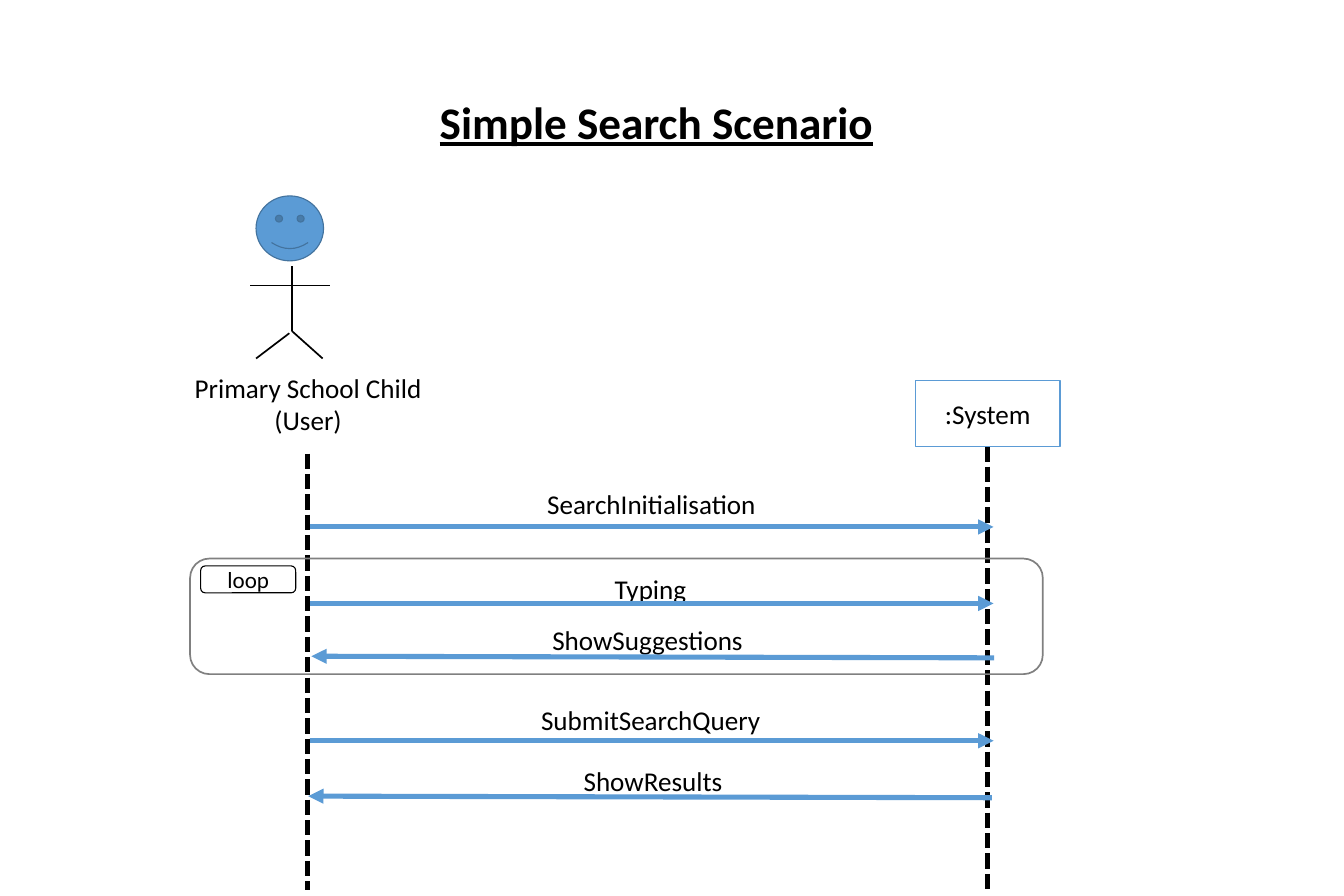
"""Build the sequence diagram of a simple search scenario."""
from pptx import Presentation
from pptx.dml.color import RGBColor
from pptx.enum.dml import MSO_LINE
from pptx.enum.shapes import MSO_CONNECTOR, MSO_SHAPE as Kind
from pptx.enum.text import MSO_ANCHOR as Anchor, PP_ALIGN
from pptx.oxml.ns import qn
from pptx.util import Cm, Pt
from lxml.etree import SubElement

BLACK = RGBColor(0, 0, 0)
WHITE = RGBColor(0xFF, 0xFF, 0xFF)
GREY = RGBColor(0x80, 0x80, 0x80)
BLUE = RGBColor(0x5B, 0x9B, 0xD5)
NAVY = RGBColor(0x43, 0x73, 0x9E)

deck = Presentation()
deck.slide_width, deck.slide_height = Cm(41.99), Cm(27.99)
slide = deck.slides.add_slide(deck.slide_layouts[6])
shapes = slide.shapes


def write(shape, text, size, anchor=Anchor.MIDDLE):
    """Put centred text in a shape and return its run font."""
    frame = shape.text_frame
    frame.text = text
    frame.word_wrap = True
    frame.vertical_anchor = anchor
    para = frame.paragraphs[0]
    para.alignment = PP_ALIGN.CENTER
    font = para.runs[0].font
    font.name, font.size = "Calibri", Pt(size)
    font.color.rgb = BLACK
    return font


def link(start, end, color, width):
    """Draw a straight line without a shadow and return its format."""
    line = shapes.add_connector(MSO_CONNECTOR.STRAIGHT, *map(Cm, start + end))
    line.line.color.rgb = color
    line.line.width = Pt(width)
    SubElement(line._element.spPr, qn("a:effectLst"))
    return line.line


title = shapes.add_textbox(Cm(1.52), Cm(2.46), Cm(37.97), Cm(2.87))
font = write(title, "Simple Search Scenario", 40)
font.bold = font.underline = True
title.text_frame.paragraphs[0].line_spacing = 0.9

for x, top in ((9.6, 14.17), (30.86, 13.94)):
    life = link((x, top), (x, 27.81), BLACK, 4.5)
    life.dash_style = MSO_LINE.SQUARE_DOT

messages = (
    ("SearchInitialisation", 20.35, 15.11, (9.68, 16.46), (31.04, 16.46)),
    ("Typing", 20.32, 17.75, (9.68, 18.85), (31.04, 18.85)),
    ("ShowSuggestions", 20.23, 19.35, (31.06, 20.55), (9.73, 20.5)),
    ("SubmitSearchQuery", 20.33, 21.84, (9.68, 23.14), (31.04, 23.14)),
    ("ShowResults", 20.4, 23.75, (30.99, 24.92), (9.63, 24.87)),
)
for text, mid, top, start, end in messages:
    label = shapes.add_textbox(Cm(mid - 5), Cm(top), Cm(10), Cm(1.27))
    write(label, text, 24, Anchor.TOP)
    arrow = link(start, end, BLUE, 4.5)
    SubElement(arrow._get_or_add_ln(), qn("a:tailEnd"), type="triangle")

boxes = (
    (Kind.ROUNDED_RECTANGLE, (5.94, 17.45, 26.64, 3.61), None, GREY, 1.5, "", 0),
    (Kind.ROUNDED_RECTANGLE, (6.27, 17.68, 2.97, 0.84), WHITE, BLACK, 1, "loop", 20.4),
    (Kind.RECTANGLE, (4.85, 11.58, 9.55, 2.06), WHITE, None, 0,
     "Primary School Child (User)", 24),
    (Kind.SMILEY_FACE, (8, 6.12, 2.11, 2.03), BLUE, NAVY, 1, "", 0),
    (Kind.RECTANGLE, (28.6, 11.89, 4.52, 2.06), WHITE, BLUE, 1, ":System", 24),
)
for kind, area, fill, edge, width, text, size in boxes:
    box = shapes.add_shape(kind, *map(Cm, area))
    box.shadow.inherit = False
    for paint, color in ((box.fill, fill), (box.line.fill, edge)):
        if color is None:
            paint.background()
        else:
            paint.solid()
            paint.fore_color.rgb = color
    if edge is not None:
        box.line.width = Pt(width)
    if text:
        write(box, text, size)

limbs = (
    ((9.12, 8.31), (9.12, 10.34)),
    ((7.82, 8.92), (10.31, 8.92)),
    ((9.12, 10.34), (10.08, 11.2)),
    ((9.04, 10.41), (8, 11.2)),
)
for start, end in limbs:
    link(start, end, BLACK, 1.5)

deck.save("out.pptx")
